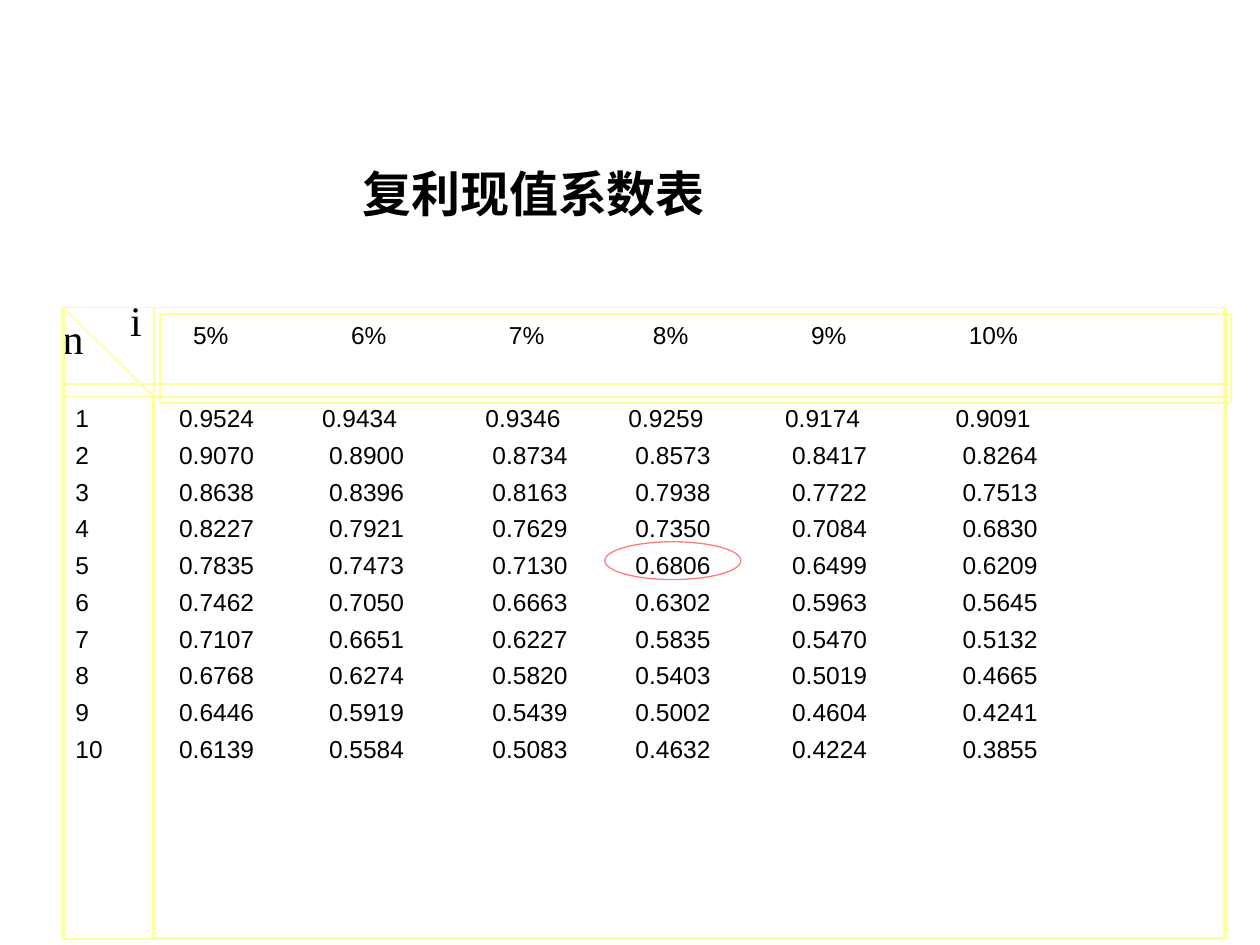
from dataclasses import dataclass

from lxml.etree import SubElement as Sub
from pptx import Presentation as Deck
from pptx.dml.color import RGBColor as Color
from pptx.enum.shapes import MSO_CONNECTOR as Link, MSO_SHAPE as Form
from pptx.enum.text import MSO_ANCHOR as Anchor, MSO_AUTO_SIZE as Auto, PP_ALIGN as Align
from pptx.oxml.ns import qn
from pptx.util import Pt


@dataclass(frozen=True)
class Theme:
    ink: Color = Color.from_string("000000")
    rule: Color = Color.from_string("FFFF99")
    mark: Color = Color.from_string("FF7C80")
    serif: str = "Times New Roman"
    sans: str = "Arial"
    title: float = 28
    axis: float = 24
    cell: float = 14


@dataclass(frozen=True)
class Box:
    left: float
    top: float
    width: float
    height: float

    def place(self) -> tuple:
        return Pt(self.left), Pt(self.top), Pt(self.width), Pt(self.height)


@dataclass(frozen=True)
class Rule:
    x1: float
    y1: float
    x2: float
    y2: float
    width: float = 1


THEME = Theme()
LEFT, SPLIT, RIGHT = 36, 87.84, 699.84
TOP, BASE, HEAD, END = 175.68, 219.6, 226.8, 536.4

RATES = range(5, 11)
YEARS = range(1, 11)
HEAD_TABS = (90.3, 180.5, 262.8, 353.1, 443.3)
BODY_TABS = (85.7, 179.1, 260.8, 350.3, 447.7)
FIRST_TABS = tuple(tab - 4 for tab in BODY_TABS)

RULES = (
    Rule(LEFT, BASE, RIGHT, BASE),
    Rule(LEFT, TOP, LEFT, HEAD, 2.25),
    Rule(RIGHT, TOP, RIGHT, HEAD, 2.25),
    Rule(LEFT, TOP, RIGHT, TOP),
    Rule(LEFT, END, RIGHT, END),
    Rule(LEFT, HEAD, LEFT, END, 2.25),
    Rule(SPLIT, TOP, SPLIT, END),
    Rule(RIGHT, HEAD, RIGHT, END, 2.25),
    Rule(LEFT, TOP, SPLIT, HEAD),
)


def write(shape, lines: list[str], *, size: float, font: str = THEME.sans,
          bold: bool = False, align=Align.LEFT, inset: float = 7.2,
          tabs: tuple = (), first: tuple = ()) -> None:
    """Fill a shape with lines; first replaces the tab stops of line one."""
    frame = shape.text_frame
    frame.word_wrap = True
    frame.auto_size = Auto.NONE
    frame.vertical_anchor = Anchor.TOP
    frame.margin_left = Pt(inset)
    for row, line in enumerate(lines):
        para = frame.add_paragraph() if row else frame.paragraphs[0]
        stops = tabs if row else first or tabs
        if stops:
            group = Sub(para._p.get_or_add_pPr(), qn("a:tabLst"))
            for stop in stops:
                Sub(group, qn("a:tab"), pos=str(Pt(stop)), algn="l")
        para.alignment = align
        para.space_before = Pt(4.2 if row else 0)
        run = para.add_run()
        run.text = line
        run.font.size = Pt(size)
        run.font.name = font
        run.font.bold = bold
        run.font.color.rgb = THEME.ink


def outline(slide, form, box: Box, color: Color, width: float):
    shape = slide.shapes.add_shape(form, *box.place())
    shape.shadow.inherit = False
    shape.fill.background()
    shape.line.color.rgb = color
    shape.line.width = Pt(width)
    return shape


def draw(slide, rule: Rule) -> None:
    ends = map(Pt, (rule.x1, rule.y1, rule.x2, rule.y2))
    line = slide.shapes.add_connector(Link.STRAIGHT, *ends)
    line.line.color.rgb = THEME.rule
    line.line.width = Pt(rule.width)
    Sub(line._element.spPr, qn("a:effectLst"))


def label(slide, text: str, box: Box) -> None:
    shape = slide.shapes.add_textbox(*box.place())
    write(shape, [text], size=THEME.axis, font=THEME.serif, align=Align.CENTER)


def panel(slide, box: Box, width: float, lines: list[str], **style) -> None:
    shape = outline(slide, Form.RECTANGLE, box, THEME.rule, width)
    write(shape, lines, size=THEME.cell, **style)


def factors(year: int) -> str:
    """Present value of 1 due after some years, at each rate."""
    return "\t".join(f"{(1 + rate / 100) ** -year:.4f}" for rate in RATES)


def main() -> None:
    deck = Deck()
    deck.slide_width, deck.slide_height = Pt(720), Pt(540)
    slide = deck.slides.add_slide(deck.slide_layouts[5])

    title = slide.shapes.title
    title.left, title.top, title.width, title.height = Box(45.36, 90, 519.12, 41.04).place()
    write(title, ["复利现值系数表"], size=THEME.title, font=THEME.serif,
          bold=True, align=Align.CENTER)

    label(slide, "i", Box(65.52, 164.88, 24.48, 36))
    label(slide, "n", Box(19.44, 174.96, 44.64, 36))

    deep, wide, side = END - HEAD, RIGHT - SPLIT, SPLIT - LEFT
    panel(slide, Box(SPLIT, HEAD, wide, deep), 1.5, [factors(year) for year in YEARS],
          inset=14.5, tabs=BODY_TABS, first=FIRST_TABS)
    panel(slide, Box(LEFT, HEAD, side, deep), 0.75, [str(year) for year in YEARS])
    panel(slide, Box(91.44, 179.28, wide, HEAD - TOP), 1.25,
          ["\t".join(f"{rate}%" for rate in RATES)], inset=18.9, tabs=HEAD_TABS)
    outline(slide, Form.RECTANGLE, Box(LEFT, TOP, side, HEAD - TOP), THEME.rule, 0.75)

    for rule in RULES:
        draw(slide, rule)
    outline(slide, Form.OVAL, Box(345.6, 309.6, 77.76, 21.6), THEME.mark, 0.75)

    deck.save("out.pptx")


if __name__ == "__main__":
    main()
